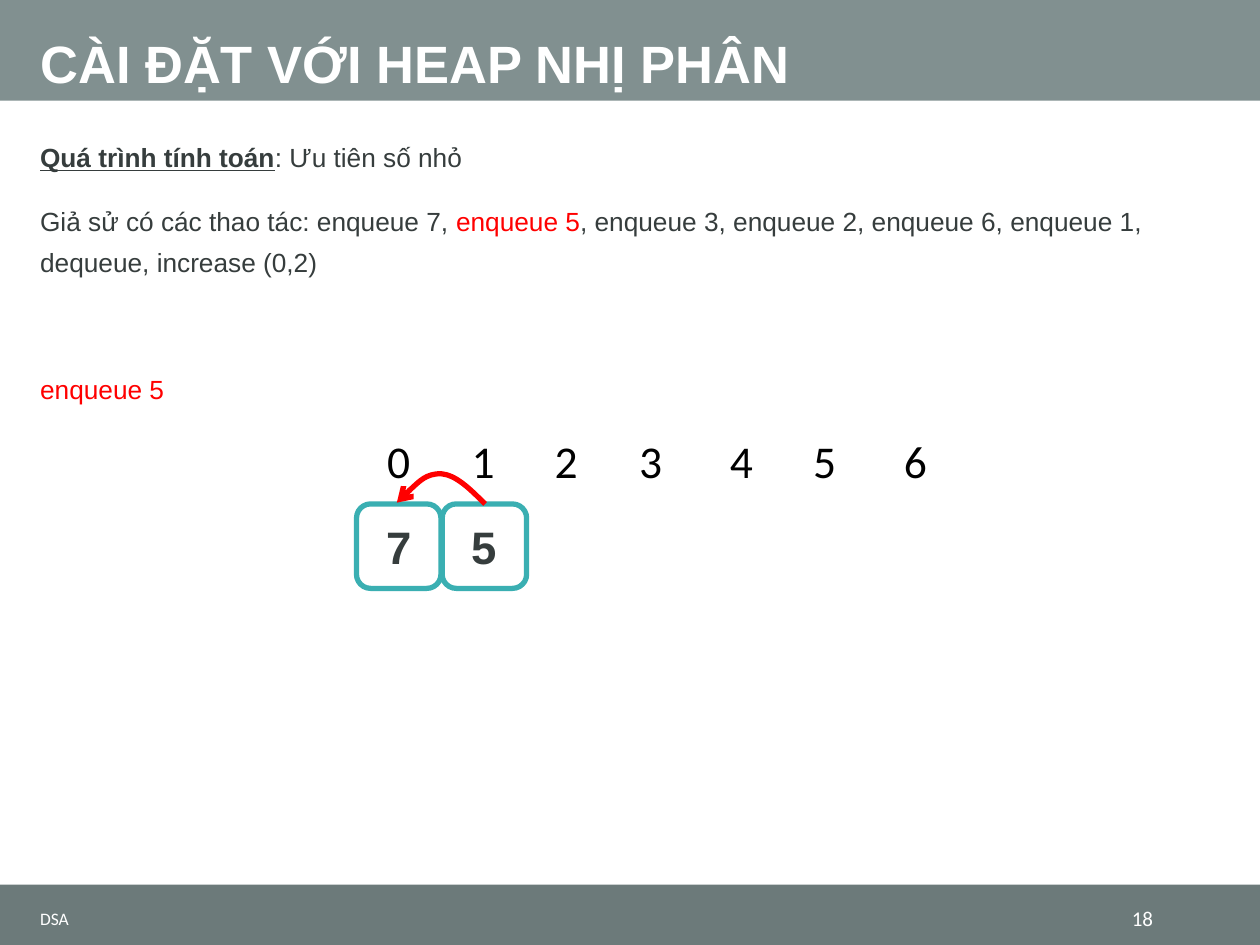
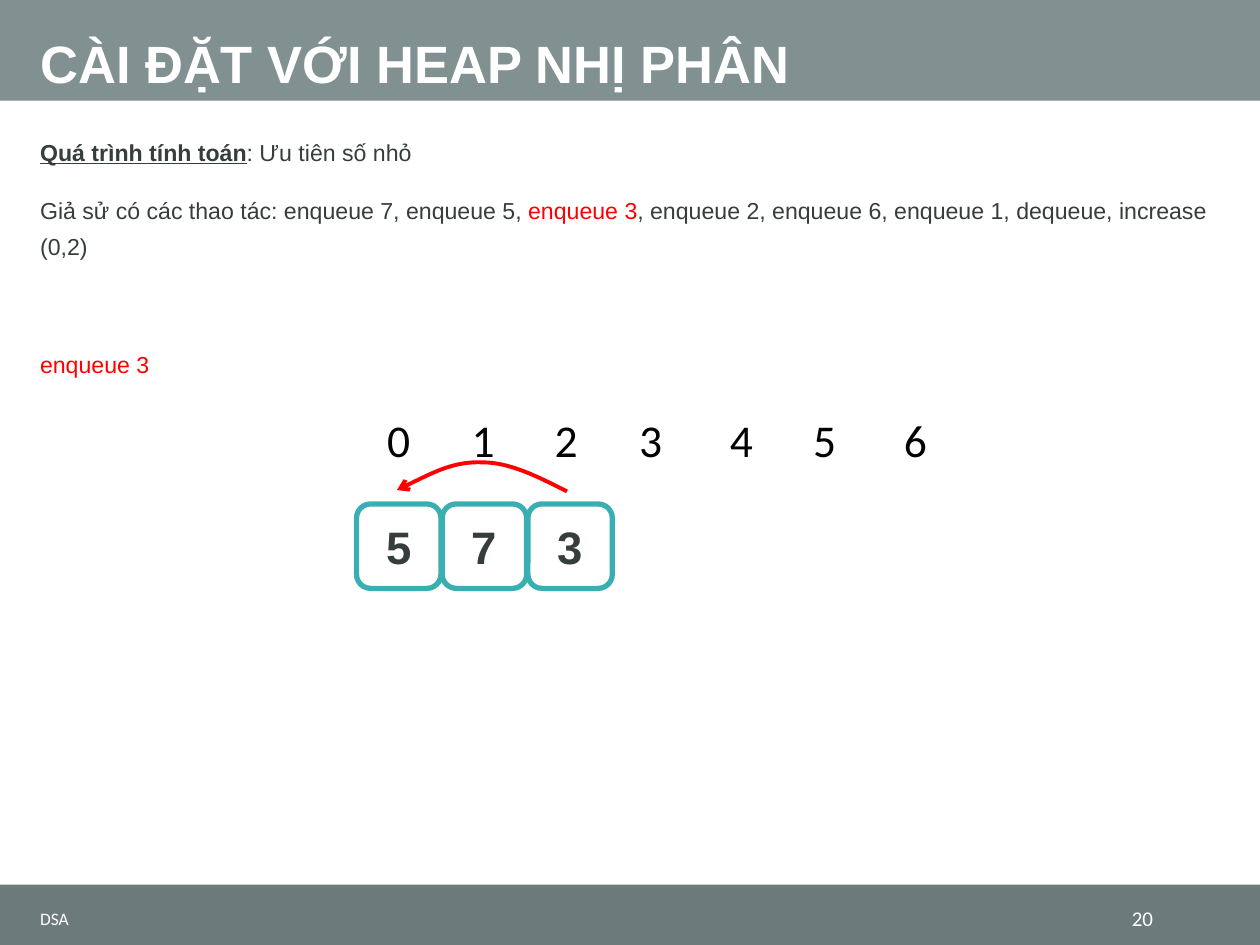
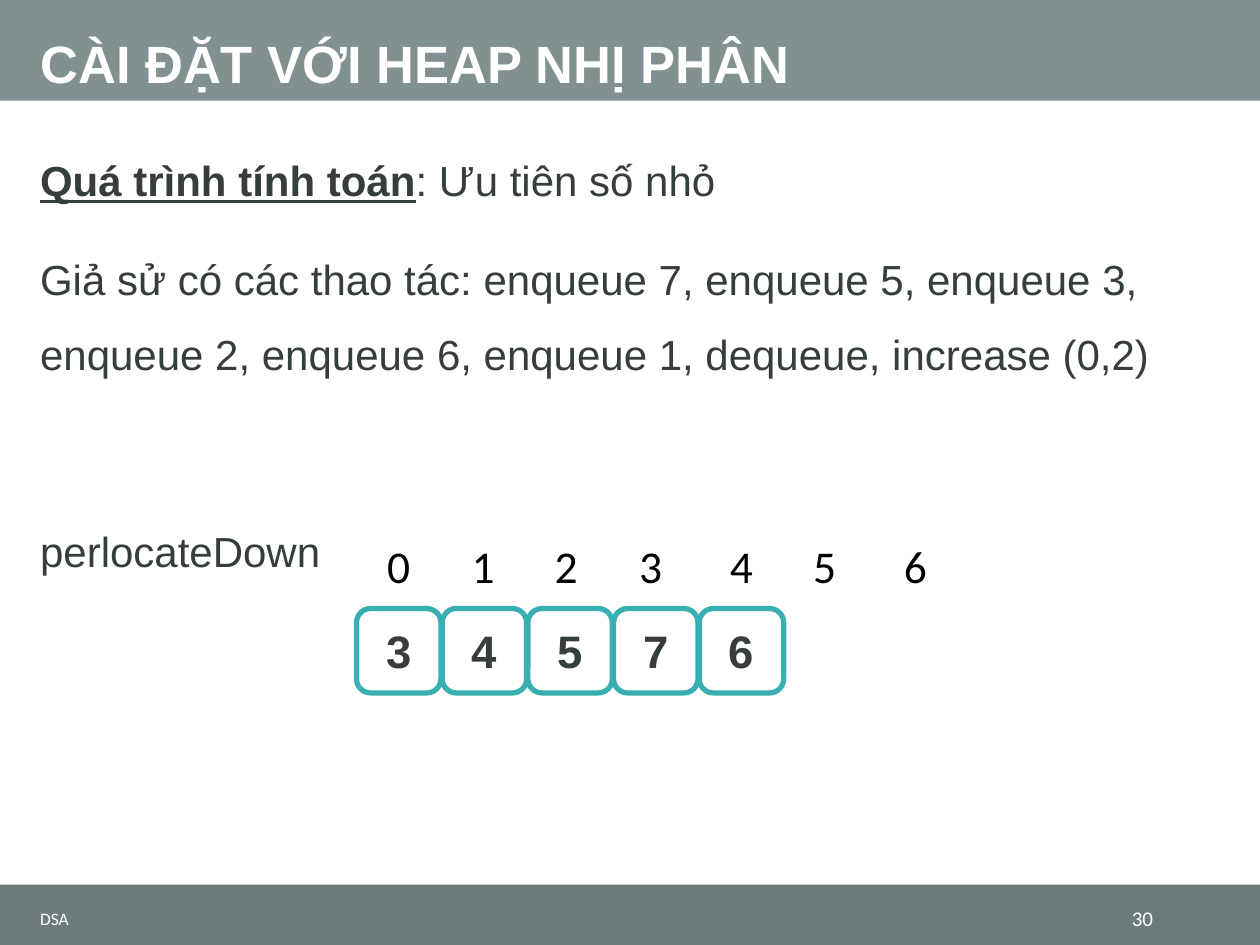
import pptx
import pptx.dml.color
import pptx.enum.shapes
import pptx.enum.text
import pptx.oxml
import pptx.oxml.ns
import pptx.util
from lxml import etree

Inches = pptx.util.Inches
Pt = pptx.util.Pt
RGBColor = pptx.dml.color.RGBColor
Shape = pptx.enum.shapes.MSO_SHAPE
Align = pptx.enum.text.PP_ALIGN
Anchor = pptx.enum.text.MSO_ANCHOR
qn = pptx.oxml.ns.qn

WHITE = RGBColor(0xFF, 0xFF, 0xFF)
BLACK = RGBColor(0, 0, 0)
RED = RGBColor(0xFF, 0, 0)
INK = RGBColor(0x36, 0x3D, 0x3D)
TEAL = RGBColor(0x3A, 0xAF, 0xB2)
HEAD = RGBColor(0x81, 0x90, 0x90)
FOOT = RGBColor(0x6C, 0x7A, 0x7A)

TITLE = "CÀI ĐẶT VỚI HEAP NHỊ PHÂN"
STEPS = ["enqueue 7", "enqueue 5", "enqueue 3", "enqueue 2", "enqueue 6",
         "enqueue 1", "dequeue", "increase (0,2)"]

LEFT, WIDE = 0.22, 9.57
CELL, PITCH, START = 0.67, 0.68, 2.83
INDEX = [2.83, 3.5, 4.16, 4.83, 5.55, 6.21, 6.93]

TITLE_FONT = {"name": "Arial", "size": Pt(30), "bold": True}
NODE_FONT = {"name": "Arial", "size": Pt(26), "bold": True}
INDEX_FONT = {"name": "Calibri", "size": Pt(26)}
FOOT_FONT = {"name": "Calibri", "size": Pt(10)}
PAGE_FONT = {"name": "Calibri", "size": Pt(12)}

PAGES = [
    {"page": 18, "active": "enqueue 5", "note": "enqueue 5", "top": 1, "high": 2.5,
     "size": 15, "lead": 1.3, "row": 3.39, "base": 4, "nodes": "75",
     "curve": [(3.85, 4), (3.73, 3.88), (3.62, 3.77), (3.5, 3.76),
               (3.38, 3.76), (3.27, 3.87), (3.15, 3.99)], "line": 3},
    {"page": 20, "active": "enqueue 3", "note": "enqueue 3", "top": 0.98, "high": 2.24,
     "size": 13.2, "lead": 1.3, "row": 3.22, "base": 4, "nodes": "573",
     "curve": [(4.5, 3.9), (4.28, 3.79), (4.05, 3.67), (3.83, 3.67),
               (3.6, 3.66), (3.38, 3.78), (3.15, 3.89)], "line": 2.25},
    {"page": 30, "active": None, "note": "perlocateDown", "top": 0.98, "high": 6.05,
     "size": 24, "lead": 1.5, "row": 4.22, "base": 4.83, "nodes": "34576"},
]


def put(item, form):
    for key, value in form.items():
        setattr(item, key, value)


def box(*sides):
    return [Inches(side) for side in sides]


class Deck:
    def __init__(self):
        self.file = pptx.Presentation()
        put(self.file, {"slide_width": Inches(10), "slide_height": Inches(7.5)})
        self.layout = self.file.slide_layouts[5]
        self.slide = None

    def start(self):
        self.slide = self.file.slides.add_slide(self.layout)

    def run(self, para, text, font, color):
        run = para.add_run()
        run.text = text
        put(run.font, font)
        run.font.color.rgb = color

    def fill(self, shape, text, font, color, align=Align.LEFT, anchor=Anchor.MIDDLE):
        frame = shape.text_frame
        put(frame, {"word_wrap": True, "vertical_anchor": anchor,
                    "auto_size": pptx.enum.text.MSO_AUTO_SIZE.NONE})
        para = frame.paragraphs[0]
        para.alignment = align
        self.run(para, text, font, color)
        return para

    def title(self, text):
        shape = self.slide.shapes.title
        put(shape, dict(zip(("left", "top", "width", "height"), box(LEFT, 0, WIDE, 0.8))))
        para = self.fill(shape, text, TITLE_FONT, WHITE, anchor=Anchor.BOTTOM)
        para.line_spacing = 0.9

    def label(self, place, *style, **form):
        self.fill(self.slide.shapes.add_textbox(*box(*place)), *style, **form)

    def block(self, kind, place, color):
        shape = self.slide.shapes.add_shape(kind, *box(*place))
        shape.shadow.inherit = False
        shape.fill.solid()
        shape.fill.fore_color.rgb = color
        shape.line.fill.background()
        return shape

    def band(self, top, high, color):
        """Draw a full-width band and move it to the shared layout."""
        shape = self.block(Shape.RECTANGLE, (0, top, 10, high), color)
        self.layout.shapes._spTree.insert(2, shape._element)

    def node(self, left, top, text):
        shape = self.block(Shape.ROUNDED_RECTANGLE, (left, top, CELL, CELL), WHITE)
        shape.line.color.rgb = TEAL
        shape.line.width = Pt(3)
        self.fill(shape, text, NODE_FONT, INK, Align.CENTER)

    def arrow(self, points, width):
        """Draw cubic curves through a start point and triples of points."""
        first, *rest = [box(*point) for point in points]
        pen = self.slide.shapes.build_freeform(*first)
        pen.add_line_segments(rest, close=False)
        shape = pen.convert_to_shape()
        shape.shadow.inherit = False
        shape.fill.background()
        shape.line.color.rgb = RED
        shape.line.width = Pt(width)
        lines = list(shape._element.iter(qn("a:lnTo")))
        for at in range(0, len(lines), 3):
            curve = etree.SubElement(lines[at].getparent(), qn("a:cubicBezTo"))
            for line in lines[at:at + 3]:
                curve.append(line[0])
                line.getparent().remove(line)
        etree.SubElement(shape.line._get_or_add_ln(), qn("a:tailEnd"), type="arrow")

    def body(self, data):
        font = {"name": "Arial", "size": Pt(data["size"])}
        active = data["active"]
        shape = self.slide.shapes.add_textbox(*box(LEFT, data["top"], WIDE, data["high"]))
        frame = shape.text_frame
        frame.word_wrap = True
        form = {"line_spacing": data["lead"], "space_before": Pt(7), "space_after": Pt(6)}
        paras = [frame.paragraphs[0], frame.add_paragraph(), frame.add_paragraph()]
        for para in paras:
            put(para, form)
        intro, steps, note = paras
        self.run(intro, "Quá trình tính toán", {**font, "bold": True, "underline": True}, INK)
        self.run(intro, ": Ưu tiên số nhỏ", font, INK)
        before, mark, after = "Giả sử có các thao tác: " + ", ".join(STEPS), "", ""
        if active:
            before, mark, after = before.partition(active)
        for text, color in ((before, INK), (mark, RED), (after, INK)):
            if text:
                self.run(steps, text, font, color)
        note.space_before = Pt(round(20 + 1.2 * data["size"] * data["lead"], 1))
        self.run(note, data["note"], font, RED if active else INK)

    def heap(self, data):
        for spot, left in enumerate(INDEX):
            self.label((left, data["row"], CELL, 0.54), str(spot), INDEX_FONT, BLACK,
                       align=Align.CENTER, anchor=Anchor.TOP)
        for spot, text in enumerate(data["nodes"]):
            self.node(START + spot * PITCH, data["base"], text)
        if "curve" in data:
            self.arrow(data["curve"], data["line"])

    def foot(self, page):
        self.label((LEFT, 7.16, 6.95, 0.26), "DSA", FOOT_FONT, WHITE)
        self.label((8.47, 7.16, 0.78, 0.26), str(page), PAGE_FONT, WHITE, align=Align.RIGHT)


def main():
    deck = Deck()
    for data in PAGES:
        deck.start()
        if data is PAGES[0]:
            deck.band(0, 0.8, HEAD)
            deck.band(7.02, 0.48, FOOT)
        deck.title(TITLE)
        deck.heap(data)
        deck.body(data)
        deck.foot(data["page"])
    deck.file.save("out.pptx")


if __name__ == "__main__":
    main()
